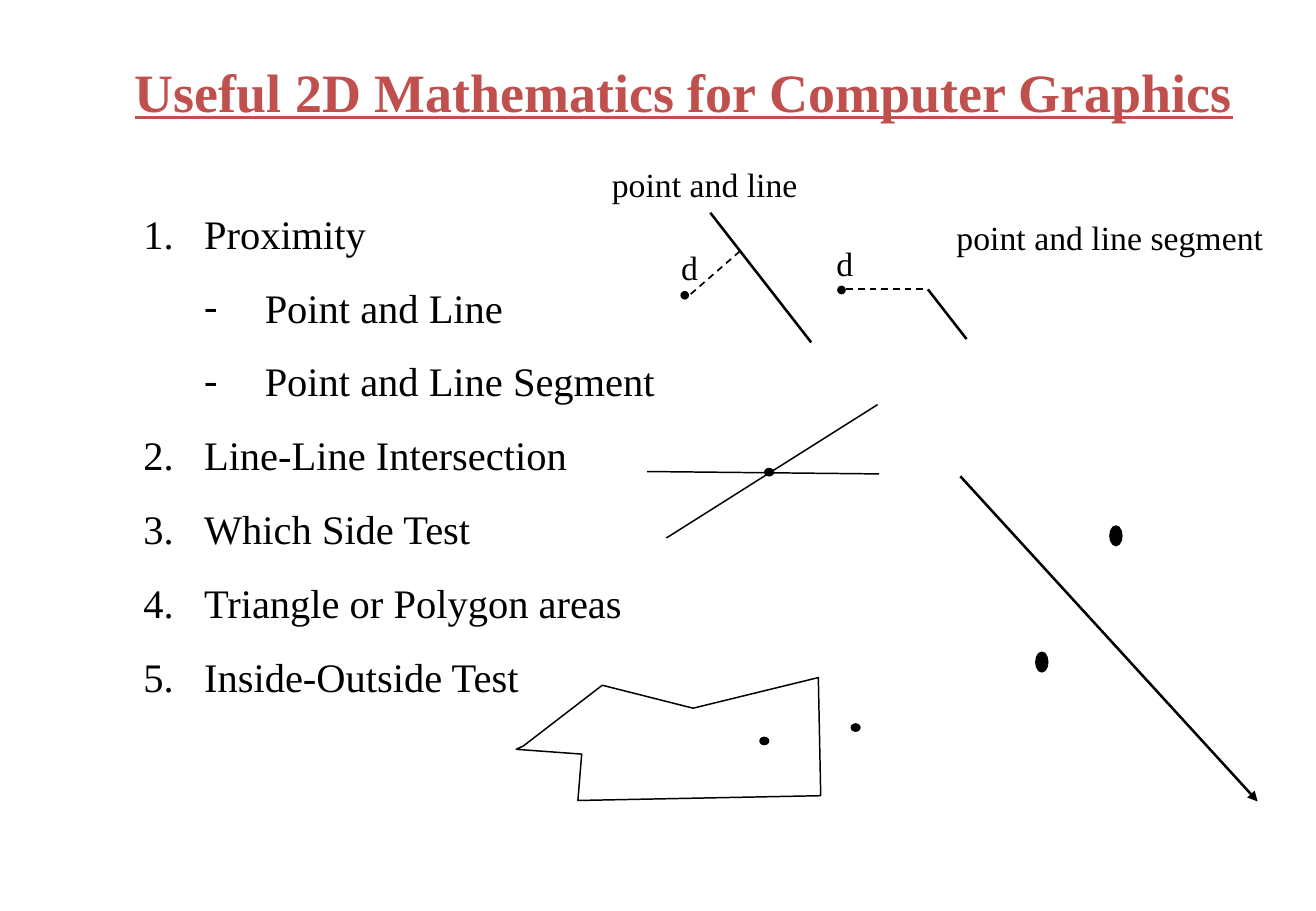
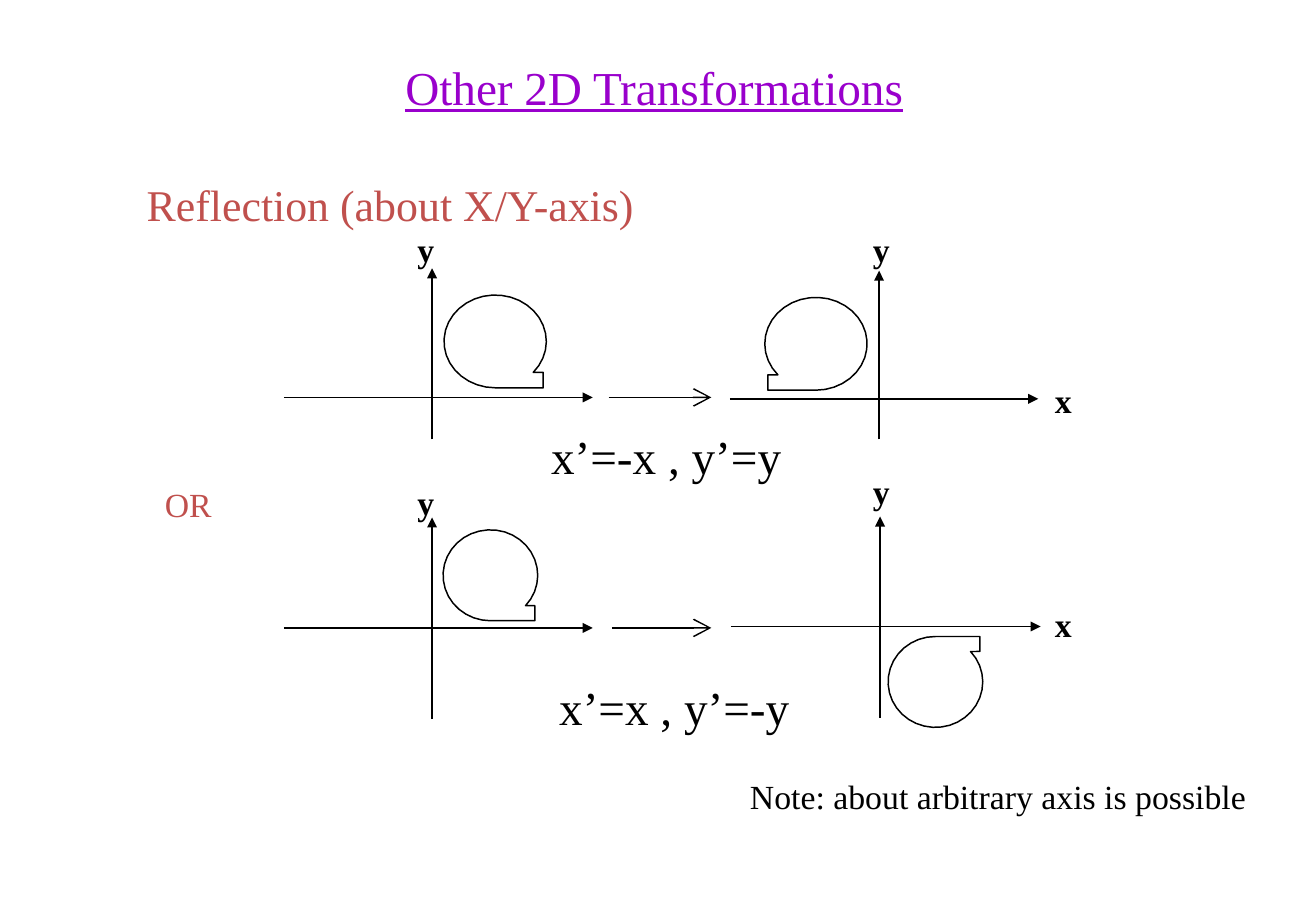
from dataclasses import dataclass
from math import cos, radians, sin

from lxml.etree import SubElement
from pptx import Presentation
from pptx.dml.color import RGBColor
from pptx.enum.dml import MSO_LINE
from pptx.enum.shapes import MSO_CONNECTOR, MSO_SHAPE
from pptx.oxml.ns import qn
from pptx.shapes.autoshape import Shape
from pptx.slide import Slide
from pptx.util import Cm, Pt

FONT = "Times New Roman"
BLACK, WHITE, RED, PURPLE = "000000", "FFFFFF", "C0504D", "9900CC"
THIN, DASHED, THICK = 0.88, 1, 1.5
INDENT = 1.27

Point = tuple[float, float]


@dataclass(frozen=True)
class Label:
    text: str
    left: float
    top: float
    width: float
    height: float
    size: int = 20
    color: str = BLACK
    bold: bool = False
    underline: bool = False
    inset: bool = True


@dataclass(frozen=True)
class Stroke:
    start: Point
    end: Point
    weight: float = THIN
    dashed: bool = False
    head: str = ""
    head_size: str = "med"


@dataclass(frozen=True)
class Dot:
    left: float
    top: float
    width: float = 0.18
    height: float = 0.15


@dataclass(frozen=True)
class Axes:
    origin: Point
    left: float
    right: float
    top: float
    bottom: float


@dataclass(frozen=True)
class Loop:
    center: Point
    radius: Point
    flip: tuple[int, int] = (1, 1)


@dataclass(frozen=True)
class ListItem:
    text: str
    level: int = 0


def rgb(color: str) -> RGBColor:
    return RGBColor.from_string(color)


def add_box(page: Slide, left: float, top: float, width: float, height: float) -> Shape:
    box = page.shapes.add_textbox(Cm(left), Cm(top), Cm(width), Cm(height))
    box.text_frame.word_wrap = True
    return box


def add_span(para, text: str, size: int, color: str, bold: bool = False, underline: bool = False) -> None:
    span = para.add_run()
    span.text = text
    span.font.name = FONT
    span.font.size = Pt(size)
    span.font.color.rgb = rgb(color)
    span.font.bold = bold
    span.font.underline = underline


def add_label(page: Slide, label: Label) -> None:
    frame = add_box(page, label.left, label.top, label.width, label.height).text_frame
    if not label.inset:
        frame.margin_left = frame.margin_right = frame.margin_top = frame.margin_bottom = Cm(0)
    add_span(frame.paragraphs[0], label.text, label.size, label.color, label.bold, label.underline)


def add_title(page: Slide, text: str, left: float, width: float, size: int, color: str, bold: bool = False) -> None:
    add_label(page, Label(text, left, 1.09, width, 1.6, size, color, bold, underline=True))


def add_list(page: Slide, items: list[ListItem]) -> None:
    frame = add_box(page, 2.75, 4.24, 11.63, 10.54).text_frame
    for index, item in enumerate(items):
        para = frame.add_paragraph() if index else frame.paragraphs[0]
        para.level = item.level
        properties = para._p.get_or_add_pPr()
        properties.set("marL", str(Cm(INDENT * (item.level + 1))))
        properties.set("indent", str(-Cm(INDENT)))
        SubElement(properties, qn("a:buFont"), typeface=FONT)
        if item.level:
            SubElement(properties, qn("a:buChar"), char="-")
        else:
            SubElement(properties, qn("a:buAutoNum"), type="arabicPeriod")
        if index:
            para.space_before = Pt(15)
        add_span(para, item.text, 24, BLACK)


def add_stroke(page: Slide, stroke: Stroke) -> None:
    ends = [Cm(value) for value in stroke.start + stroke.end]
    connector = page.shapes.add_connector(MSO_CONNECTOR.STRAIGHT, *ends)
    connector.line.color.rgb = rgb(BLACK)
    connector.line.width = Pt(stroke.weight)
    if stroke.dashed:
        connector.line.dash_style = MSO_LINE.DASH
    properties = connector.element.spPr
    if stroke.head:
        outline = properties.find(qn("a:ln"))
        SubElement(outline, qn("a:tailEnd"), type=stroke.head, w=stroke.head_size, len=stroke.head_size)
    SubElement(properties, qn("a:effectLst"))


def style_shape(shape: Shape, fill: str) -> None:
    shape.shadow.inherit = False
    if fill:
        shape.fill.solid()
        shape.fill.fore_color.rgb = rgb(fill)
    else:
        shape.fill.background()
    shape.line.color.rgb = rgb(BLACK)
    shape.line.width = Pt(THIN)


def add_dot(page: Slide, dot: Dot) -> None:
    shape = page.shapes.add_shape(
        MSO_SHAPE.OVAL, Cm(dot.left), Cm(dot.top), Cm(dot.width), Cm(dot.height)
    )
    style_shape(shape, BLACK)


def add_outline(page: Slide, points: list[Point], fill: str = "") -> None:
    corners = [(Cm(x), Cm(y)) for x, y in points]
    builder = page.shapes.build_freeform(*corners[0], scale=1.0)
    builder.add_line_segments(corners[1:], close=True)
    style_shape(builder.convert_to_shape(), fill)


def add_loop(page: Slide, loop: Loop) -> None:
    angles = [radians(42 - 312 * step / 30) for step in range(31)]
    unit = [(cos(angle), sin(angle)) for angle in angles] + [(0.94, 1), (0.94, 0.67)]
    points = [
        (
            loop.center[0] + loop.flip[0] * loop.radius[0] * x,
            loop.center[1] + loop.flip[1] * loop.radius[1] * y,
        )
        for x, y in unit
    ]
    add_outline(page, points, WHITE)


def add_axes(page: Slide, axes: Axes) -> None:
    x, y = axes.origin
    add_stroke(page, Stroke((x, axes.bottom), (x, axes.top), head="triangle"))
    add_stroke(page, Stroke((axes.left, y), (axes.right, y), head="triangle"))


def build_mathematics(page: Slide) -> None:
    add_title(page, "Useful 2D Mathematics for Computer Graphics", 2.57, 24.1, 32, RED, True)
    add_list(page, [
        ListItem("Proximity"),
        ListItem("Point and Line", 1),
        ListItem("Point and Line Segment", 1),
        ListItem("Line-Line Intersection"),
        ListItem("Which Side Test"),
        ListItem("Triangle or Polygon areas"),
        ListItem("Inside-Outside Test"),
    ])
    add_outline(page, [
        (10.8, 15.67), (10.95, 15.6), (12.6, 14.33), (14.5, 14.81),
        (17.12, 14.17), (17.17, 16.64), (12.09, 16.74), (12.17, 15.77),
    ])
    for stroke in (
        Stroke((13.54, 9.86), (18.39, 9.91)),
        Stroke((13.94, 11.25), (18.36, 8.46)),
        Stroke((20.09, 9.96), (26.31, 16.76), THICK, head="triangle"),
        Stroke((14.86, 4.45), (16.97, 7.16), THICK),
        Stroke((14.45, 6.15), (15.47, 5.26), DASHED, dashed=True),
        Stroke((19.41, 6.05), (20.22, 7.09), THICK),
        Stroke((17.7, 6.05), (19.38, 6.05), DASHED, dashed=True),
    ):
        add_stroke(page, stroke)
    for dot in (
        Dot(16, 9.8),
        Dot(17.81, 15.14),
        Dot(15.9, 15.42),
        Dot(23.22, 11, 0.25, 0.41),
        Dot(21.67, 13.64, 0.25, 0.41),
        Dot(14.25, 6.1, 0.15),
        Dot(17.53, 5.99, 0.15),
    ):
        add_dot(page, dot)
    for label in (
        Label("d", 14.25, 5.16, 0.6, 0.84, inset=False),
        Label("d", 17.5, 5.08, 0.6, 0.84, inset=False),
        Label("point and line", 12.55, 3.3, 4.8, 1.09),
        Label("point and line segment", 19.76, 4.4, 7.3, 1.09),
    ):
        add_label(page, label)


def build_reflection(page: Slide) -> None:
    add_title(page, "Other 2D Transformations", 8.23, 11.5, 28, PURPLE)
    for axes in (
        Axes((9.04, 8.31), 5.94, 12.4, 5.61, 9.19),
        Axes((18.39, 8.34), 15.27, 21.72, 5.66, 9.19),
        Axes((9.04, 13.13), 5.94, 12.4, 10.82, 15.04),
        Axes((18.41, 13.1), 15.29, 21.77, 10.8, 15.01),
    ):
        add_axes(page, axes)
    for start, y in ((12.73, 8.31), (12.8, 13.13)):
        add_stroke(page, Stroke((start, y), (14.88, y), head="arrow", head_size="lg"))
    upper_radius, lower_radius = (1.07, 0.97), (0.99, 0.95)
    for loop in (
        Loop((10.36, 7.14), upper_radius),
        Loop((17.07, 7.19), upper_radius, (-1, 1)),
        Loop((10.26, 12.03), lower_radius),
        Loop((19.57, 14.26), lower_radius, (1, -1)),
    ):
        add_loop(page, loop)
    for text, left, top in (
        ("x", 21.82, 7.82), ("x", 21.82, 12.5),
        ("y", 18.01, 4.65), ("y", 18.01, 9.73),
        ("y", 8.48, 4.65), ("y", 8.48, 9.96),
    ):
        add_label(page, Label(text, left, top, 1.1, 1.12, bold=True))
    for label in (
        Label("x’=-x , y’=y", 11.53, 8.94, 5.6, 1.19, 28, inset=False),
        Label("x’=x , y’=-y", 11.7, 14.18, 5.6, 1.19, 28, inset=False),
        Label("OR", 3.2, 9.99, 2, 1.12, color=RED),
        Label("Reflection (about X/Y-axis)", 2.82, 3.59, 11.4, 1.37, 26, RED),
        Label("Note: about arbitrary axis is possible", 15.44, 16.09, 11.5, 1.12),
    ):
        add_label(page, label)


def main() -> None:
    deck = Presentation()
    deck.slide_width, deck.slide_height = Cm(27.53), Cm(19.05)
    for build in (build_mathematics, build_reflection):
        build(deck.slides.add_slide(deck.slide_layouts[6]))
    deck.save("out.pptx")


if __name__ == "__main__":
    main()
